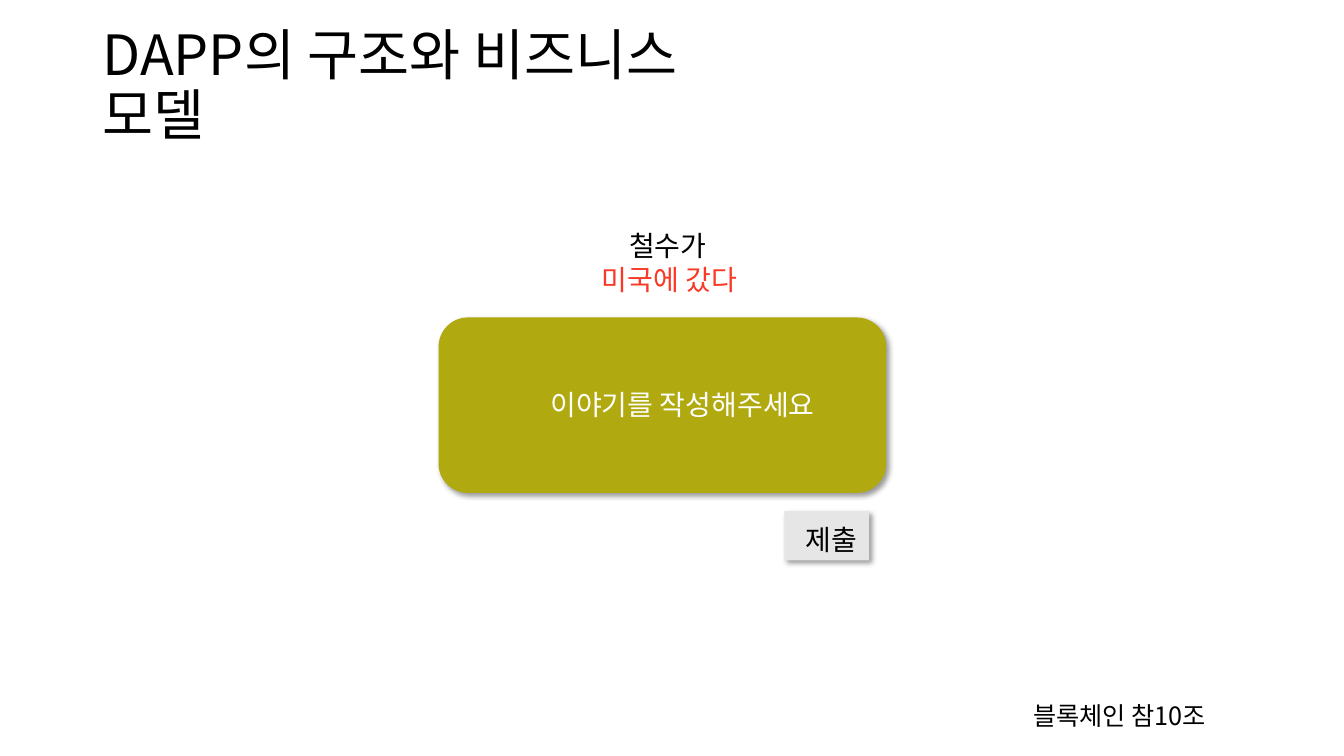
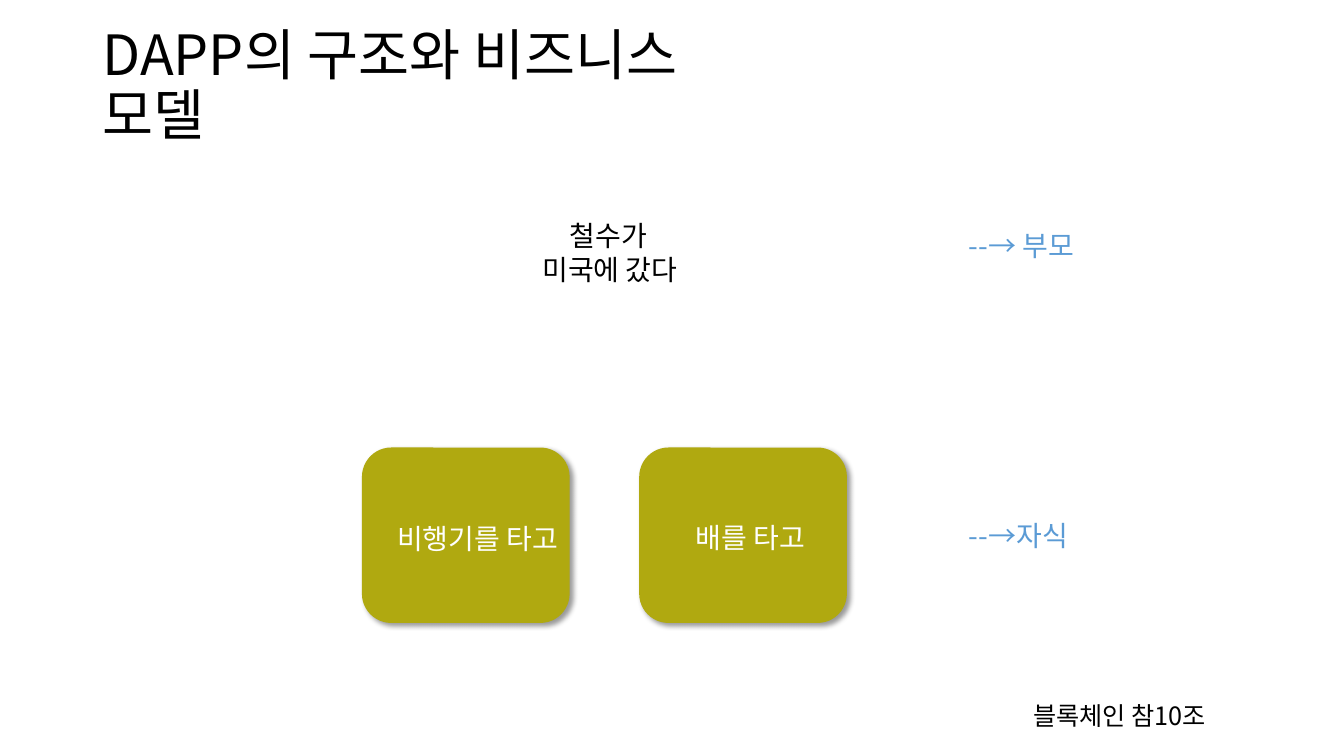
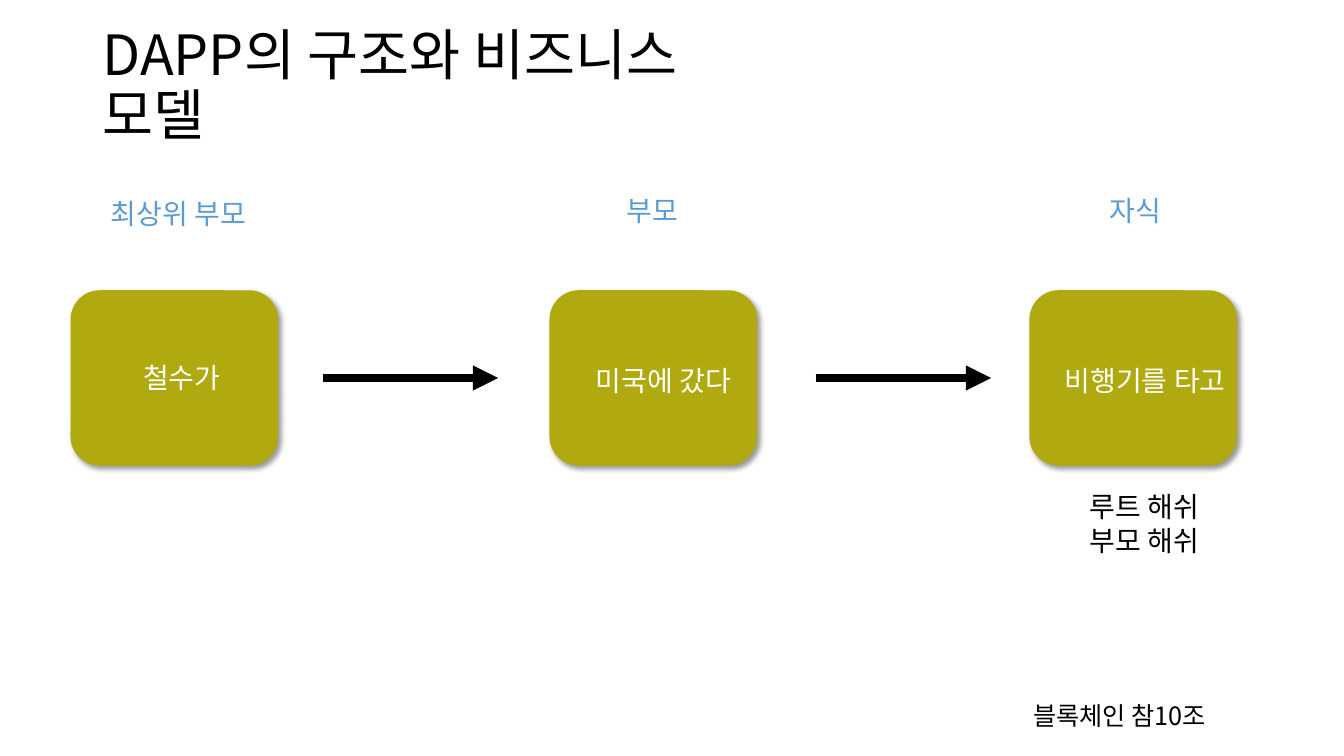
from dataclasses import dataclass

from lxml import etree
from pptx import Presentation
from pptx.dml.color import RGBColor
from pptx.enum.shapes import MSO_CONNECTOR as Connector, MSO_SHAPE as Shape
from pptx.enum.text import MSO_ANCHOR as Anchor, MSO_AUTO_SIZE as AutoSize
from pptx.oxml.ns import qn
from pptx.util import Inches, Pt


@dataclass(frozen=True)
class Theme:
    font: str = "Noto Sans CJK KR"
    ink: str = "000000"
    paper: str = "FFFFFF"
    accent: str = "F93925"
    label: str = "5B9BD5"
    card: str = "B0A910"
    button: str = "E7E6E6"
    title_size: float = 39.6
    body_size: float = 20
    footer_size: float = 18
    arrow_width: float = 6


THEME = Theme()
TITLE = "DAPP의 구조와 비즈니스 모델"
FOOTER = "블록체인 참10조"
LABEL_WIDTH, LINE_HEIGHT = 1.88, 0.44
CARD_WIDTH, CARD_HEIGHT = 2.06, 1.74


def add_text(page, text, left, top, width=LABEL_WIDTH, height=LINE_HEIGHT,
             color=THEME.ink, size=THEME.body_size, line_spacing=None, **frame_format):
    """Place a text box with one paragraph for each line of text."""
    box = page.shapes.add_textbox(Inches(left), Inches(top), Inches(width), Inches(height))
    frame = box.text_frame
    settings = {"word_wrap": True, "auto_size": AutoSize.SHAPE_TO_FIT_TEXT, **frame_format}
    for name, value in settings.items():
        setattr(frame, name, value)
    for index, line in enumerate(text.split("\n")):
        para = frame.add_paragraph() if index else frame.paragraphs[0]
        para.line_spacing = line_spacing
        span = para.add_run()
        span.text = line
        for name, value in {"name": THEME.font, "size": Pt(size)}.items():
            setattr(span.font, name, value)
        span.font.color.rgb = RGBColor.from_string(color)
        # East Asian glyphs take their own typeface setting
        latin = span.font._element.find(qn("a:latin"))
        east_asian = etree.Element(qn("a:ea"), typeface=THEME.font)
        latin.addnext(east_asian)
    return box


def add_shadow(shape):
    """Cast a soft shadow down and to the right."""
    shape.shadow.inherit = False
    effects = shape._element.spPr.find(qn("a:effectLst"))
    outer = etree.SubElement(effects, qn("a:outerShdw"), blurRad=str(Pt(4)),
                             dist=str(Pt(3)), dir=str(45 * 60000),
                             algn="tl", rotWithShape="0")
    color = etree.SubElement(outer, qn("a:srgbClr"), val=THEME.ink)
    etree.SubElement(color, qn("a:alpha"), val="40000")


def add_panel(page, kind, fill, left, top, width, height):
    panel = page.shapes.add_shape(kind, Inches(left), Inches(top),
                                  Inches(width), Inches(height))
    panel.fill.solid()
    panel.fill.fore_color.rgb = RGBColor.from_string(fill)
    panel.line.fill.background()
    add_shadow(panel)


def add_card(page, text, left, top, text_x, text_y, width=CARD_WIDTH,
             text_width=LABEL_WIDTH):
    """Rounded card; the text offset is measured from its corner."""
    add_panel(page, Shape.ROUNDED_RECTANGLE, THEME.card, left, top, width, CARD_HEIGHT)
    add_text(page, text, left + text_x, top + text_y, text_width, color=THEME.paper)


def add_button(page, text, left, top):
    add_panel(page, Shape.RECTANGLE, THEME.button, left, top, 0.84, 0.49)
    add_text(page, text, left + 0.11, top + 0.06)


def add_story(page, left, top, ending_color=THEME.ink):
    """Two-line story, the first line centred over the second."""
    add_text(page, "철수가", left + 0.27, top)
    add_text(page, "미국에 갔다", left, top + 0.34, color=ending_color)


def add_arrow(page, left, middle, length=1.74):
    arrow = page.shapes.add_connector(Connector.STRAIGHT, Inches(left), Inches(middle),
                                      Inches(left + length), Inches(middle))
    arrow.line.width = Pt(THEME.arrow_width)
    arrow.line.color.rgb = RGBColor.from_string(THEME.ink)
    etree.SubElement(arrow.line._get_or_add_ln(), qn("a:tailEnd"), type="triangle")
    etree.SubElement(arrow._element.spPr, qn("a:effectLst"))


def add_page(deck):
    """Blank page with the shared title and footer."""
    page = deck.slides.add_slide(deck.slide_layouts[6])
    add_text(page, TITLE, 0.92, 0.4, 6.87, 0.93, size=THEME.title_size,
             line_spacing=0.9, vertical_anchor=Anchor.MIDDLE, auto_size=AutoSize.NONE)
    add_text(page, FOOTER, 10.15, 6.9, 2.57, 0.4, size=THEME.footer_size)
    return page


def build_writing_page(deck):
    page = add_page(deck)
    add_story(page, 5.87, 2.22, THEME.accent)
    add_card(page, "이야기를 작성해주세요", 4.35, 3.15, 1.01, 0.65,
             width=4.44, text_width=3.66)
    add_button(page, "제출", 7.78, 5.07)


def build_branch_page(deck):
    page = add_page(deck)
    # Parent story and its child branches
    add_story(page, 5.28, 2.12)
    add_card(page, "비행기를 타고", 3.59, 4.44, 0.25, 0.68)
    add_card(page, "배를 타고", 6.34, 4.44, 0.46, 0.67)
    # Level labels
    for text, top in (("--→ 부모", 2.22), ("--→자식", 5.09)):
        add_text(page, text, 9.51, top, color=THEME.label)


def build_chain_page(deck):
    page = add_page(deck)
    card_top = 2.88
    # Each block: level, story, card left, text offset, label offset
    blocks = (
        ("최상위 부모", "철수가", 0.7, (0.62, 0.65), (0.3, -0.98)),
        ("부모", "미국에 갔다", 5.45, (0.36, 0.68), (0.67, -1.01)),
        ("자식", "비행기를 타고", 10.21, (0.25, 0.68), (0.7, -1.01)),
    )
    for level, story, left, text_offset, (label_x, label_y) in blocks:
        add_card(page, story, left, card_top, *text_offset)
        add_text(page, level, left + label_x, card_top + label_y, color=THEME.label)
    for left in (3.2, 8.09):
        add_arrow(page, left, card_top + CARD_HEIGHT / 2)
    # Hashes kept by the child block
    add_text(page, "루트 해쉬\n부모 해쉬", 10.71, 4.81, height=0.77)


def main():
    deck = Presentation()
    deck.slide_width, deck.slide_height = Inches(13.33), Inches(7.5)
    for build in (build_writing_page, build_branch_page, build_chain_page):
        build(deck)
    deck.save("out.pptx")


if __name__ == "__main__":
    main()
